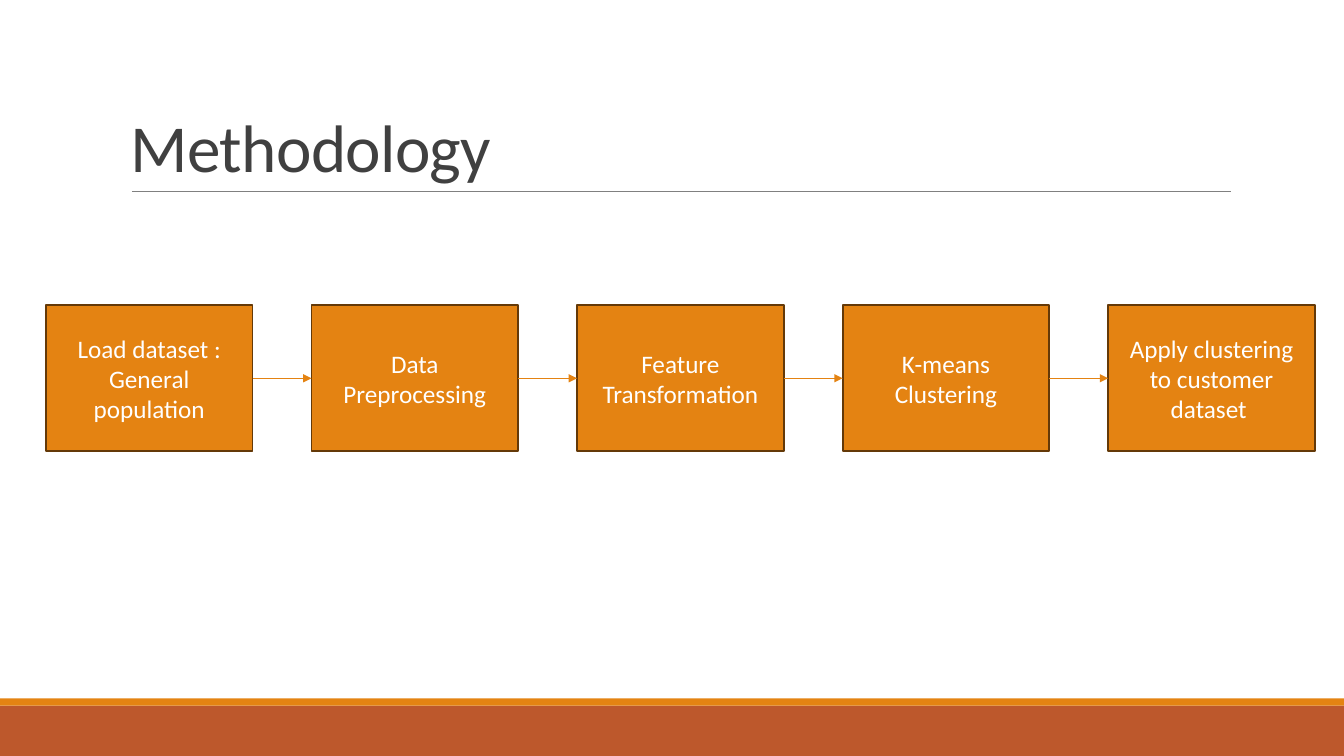
from pptx import Presentation
from pptx.dml.color import RGBColor
from pptx.enum.shapes import MSO_CONNECTOR, MSO_SHAPE
from pptx.enum.text import MSO_ANCHOR, PP_ALIGN
from pptx.oxml.ns import qn
from pptx.util import Pt
from lxml import etree

RECT = MSO_SHAPE.RECTANGLE
LINE = MSO_CONNECTOR.STRAIGHT
MIDDLE, BOTTOM = MSO_ANCHOR.MIDDLE, MSO_ANCHOR.BOTTOM
CENTER = PP_ALIGN.CENTER
FONT = "Calibri"
HUES = {"orange": "E48312", "rust": "BD582C", "edge": "643908",
        "rule": "808080", "title": "404040", "white": "FFFFFF"}
RGB = {name: RGBColor.from_string(code) for name, code in HUES.items()}

deck = Presentation()
deck.slide_width, deck.slide_height = Pt(960), Pt(540)
slide = deck.slides.add_slide(deck.slide_layouts[6])
shapes = slide.shapes


def add_rect(left, top, width, height, hue):
    """Add a flat rectangle without outline."""
    rect = shapes.add_shape(RECT, Pt(left), Pt(top), Pt(width), Pt(height))
    rect.shadow.inherit = False
    rect.fill.solid()
    rect.fill.fore_color.rgb = RGB[hue]
    rect.line.fill.background()
    return rect


def add_line(start, end, y, hue, weight):
    """Add a level line without shadow."""
    line = shapes.add_connector(LINE, Pt(start), Pt(y), Pt(end), Pt(y))
    line.line.color.rgb = RGB[hue]
    line.line.width = Pt(weight)
    etree.SubElement(line._element.spPr, qn("a:effectLst"))
    return line


# Footer bands and title rule
add_rect(0, 504, 960, 36, "rust")
add_rect(0, 498.8, 960, 5.2, "orange")
add_line(94.3, 879, 136.8, "rule", 0.5)

# Title
title = shapes.add_textbox(Pt(86.4), Pt(22.5), Pt(792), Pt(114.3))
frame = title.text_frame
frame.word_wrap = True
frame.vertical_anchor = BOTTOM
para = frame.paragraphs[0]
para.text = "Methodology"
para.line_spacing = 0.85
para.font.name, para.font.size = FONT, Pt(48)
para.font.color.rgb = RGB["title"]
para.runs[0].font._element.set("spc", "-50")

# Process steps, each joined to the next by an arrow
STEPS = ["Load dataset : General population", "Data Preprocessing",
         "Feature Transformation", "K-means Clustering",
         "Apply clustering to customer dataset "]
LEFT, TOP, WIDE, HIGH, PITCH = 32.8, 218, 147.6, 104.4, 189.7

for i, step in enumerate(STEPS):
    left = LEFT + i * PITCH
    box = add_rect(left, TOP, WIDE, HIGH, "orange")
    box.line.color.rgb = RGB["edge"]
    box.line.width = Pt(1.25)
    frame = box.text_frame
    frame.word_wrap = True
    frame.vertical_anchor = MIDDLE
    para = frame.paragraphs[0]
    para.text = step
    para.alignment = CENTER
    para.font.name, para.font.size = FONT, Pt(18)
    para.font.color.rgb = RGB["white"]

for i in range(len(STEPS) - 1):
    left = LEFT + i * PITCH
    arrow = add_line(left + WIDE, left + PITCH, TOP + HIGH / 2, "orange", 1)
    etree.SubElement(arrow.line._get_or_add_ln(), qn("a:tailEnd"),
                     type="triangle")

deck.save("out.pptx")
